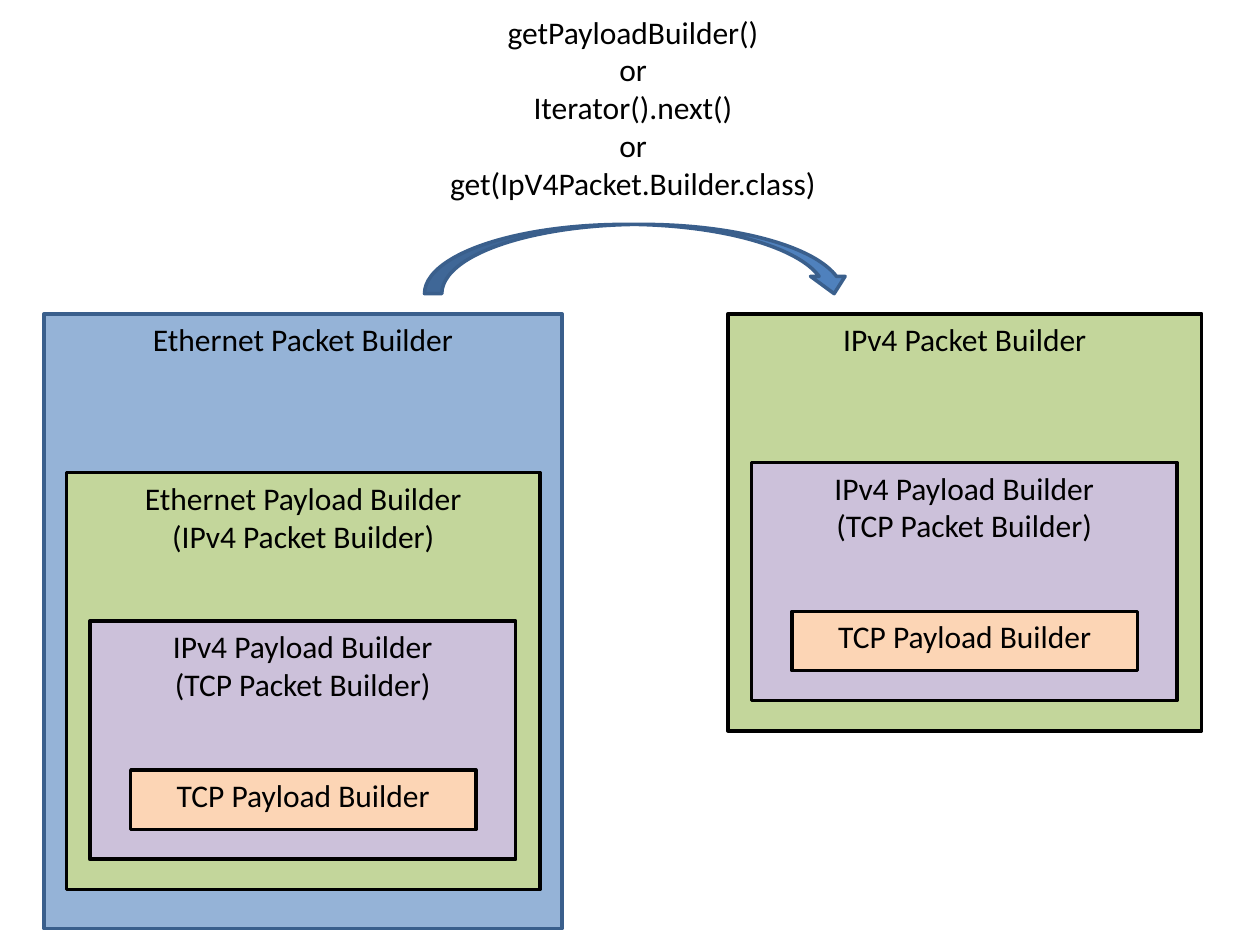
from pptx import Presentation
from pptx.dml.color import RGBColor
from pptx.enum.shapes import MSO_SHAPE as Shape
from pptx.enum.text import MSO_ANCHOR as Anchor, MSO_AUTO_SIZE as AutoSize, PP_ALIGN as Align
from pptx.util import Pt

BLUE, GREEN, PURPLE, ORANGE = "95B3D7", "C3D69B", "CCC1DA", "FCD5B5"
BLACK, WHITE, ARROW_BLUE, DARK_BLUE = "000000", "FFFFFF", "4F81BD", "3A5F8C"


def color(value):
    return RGBColor.from_string(value)


class Diagram:
    font, size, line_width = "Calibri", 18, 2

    def __init__(self, slide):
        self.slide = slide

    def set_lines(self, frame, lines):
        frame.word_wrap = True
        frame.vertical_anchor = Anchor.TOP
        for index, line in enumerate(lines):
            paragraph = frame.add_paragraph() if index else frame.paragraphs[0]
            paragraph.text = line
            paragraph.alignment = Align.CENTER
            paragraph.font.name = self.font
            paragraph.font.size = Pt(self.size)
            paragraph.font.color.rgb = color(BLACK)

    def shape(self, kind, left, top, width, height, fill, line):
        shape = self.slide.shapes.add_shape(kind, Pt(left), Pt(top), Pt(width), Pt(height))
        shape.shadow.inherit = False
        shape.fill.solid()
        shape.fill.fore_color.rgb = color(fill)
        shape.line.color.rgb = color(line)
        shape.line.width = Pt(self.line_width)
        return shape

    def box(self, left, top, width, height, lines, fill, line=BLACK):
        shape = self.shape(Shape.RECTANGLE, left, top, width, height, fill, line)
        self.set_lines(shape.text_frame, lines)

    def label(self, left, top, width, height, lines):
        label = self.slide.shapes.add_textbox(Pt(left), Pt(top), Pt(width), Pt(height))
        label.fill.solid()
        label.fill.fore_color.rgb = color(WHITE)
        self.set_lines(label.text_frame, lines)
        label.text_frame.auto_size = AutoSize.SHAPE_TO_FIT_TEXT

    def ipv4_builder(self, left, top, title):
        self.box(left, top, 270.7, 238.3, title, GREEN)
        self.box(left + 13.3, top + 85, 243.4, 136,
                 ["IPv4 Payload Builder", "(TCP Packet Builder)"], PURPLE)
        self.box(left + 36.7, top + 170, 197.3, 34, ["TCP Payload Builder"], ORANGE)


presentation = Presentation()
presentation.slide_width, presentation.slide_height = Pt(720), Pt(540)
diagram = Diagram(presentation.slides.add_slide(presentation.slide_layouts[6]))

diagram.box(25.2, 179.3, 296, 351.4, ["Ethernet Packet Builder"], BLUE, DARK_BLUE)
diagram.ipv4_builder(38, 270, ["Ethernet Payload Builder", "(IPv4 Packet Builder)"])
diagram.ipv4_builder(416, 179.3, ["IPv4 Packet Builder"])
diagram.shape(Shape.CURVED_DOWN_ARROW, 242.6, 128.2, 244, 39.6, ARROW_BLUE, DARK_BLUE)
diagram.label(236.9, 3.6, 249.8, 116.6, [
    "getPayloadBuilder()", "or", "Iterator().next()", "or", "get(IpV4Packet.Builder.class)"])

presentation.save("out.pptx")
